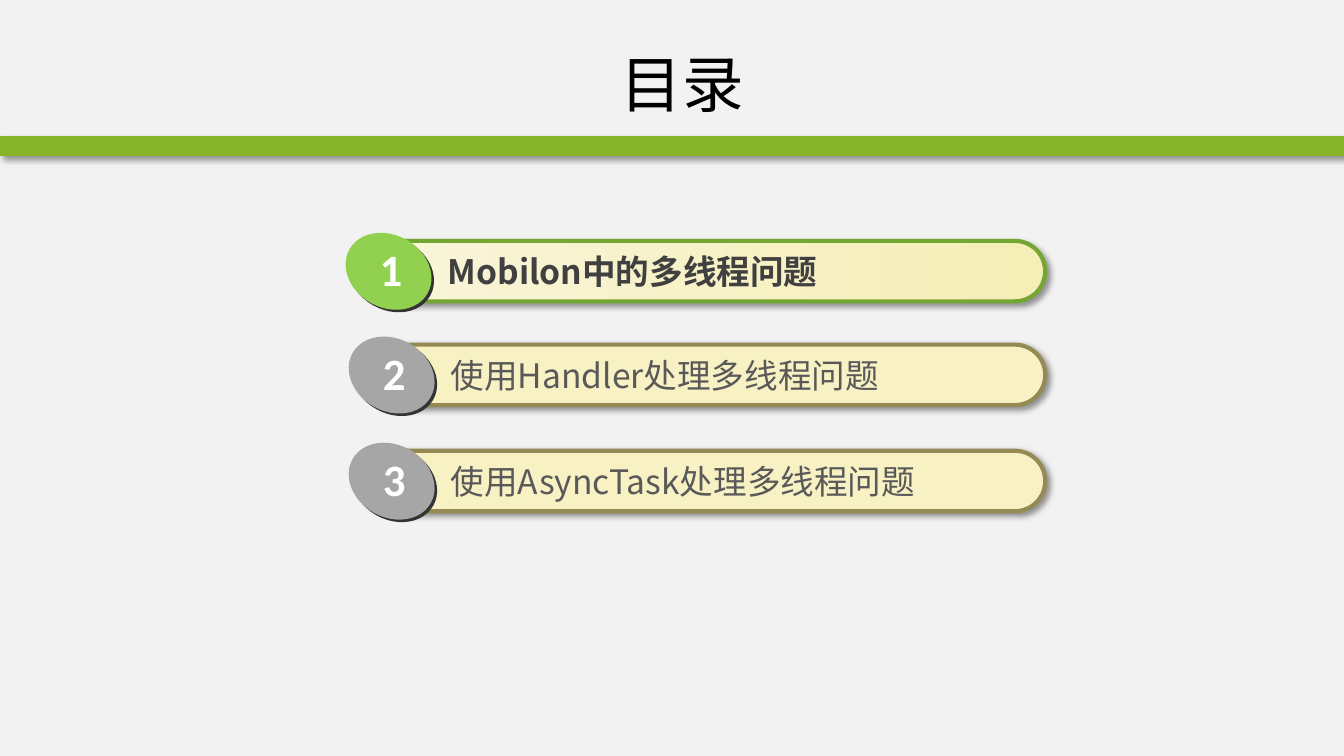
from lxml.etree import SubElement
from pptx import Presentation
from pptx.dml.color import RGBColor
from pptx.enum.shapes import MSO_SHAPE
from pptx.enum.text import MSO_ANCHOR, MSO_AUTO_SIZE, PP_ALIGN
from pptx.oxml.ns import qn
from pptx.util import Pt

CJK_FONT = "Noto Sans CJK SC"
NUMBER_FONT = "Calibri"
ENTRY_RIGHT = 746.6
TEXT_RIGHT = 699.1

ACTIVE = {"fill": ("F9F5D9", "F5EEB7"), "line": "74A731", "disc": "92D050",
          "text": "404040", "bold": True}
INACTIVE = {"fill": ("F7F1C4",), "line": "948A54", "disc": "A6A6A6",
            "text": "595959", "bold": False}

# Number, label, left of disc, top of bar, style
ENTRIES = [
    ("1", "Mobilon中的多线程问题", 245.5, 172.1, ACTIVE),
    ("2", "使用Handler处理多线程问题", 247.7, 246.2, INACTIVE),
    ("3", "使用AsyncTask处理多线程问题", 247.7, 322, INACTIVE),
]


def color(value):
    return RGBColor.from_string(value)


def add_shadow(shape):
    effects = shape._element.spPr.find(qn("a:effectLst"))
    shadow = SubElement(effects, qn("a:outerShdw"), blurRad=str(Pt(4)),
                        dist=str(Pt(3)), dir="2700000", algn="tl", rotWithShape="0")
    black = SubElement(shadow, qn("a:srgbClr"), val="000000")
    SubElement(black, qn("a:alpha"), val="40000")


def add_block(shapes, kind, left, top, width, height, fills, line=None, shadow=False):
    """Add a preset shape; two fill colours make a left-to-right gradient."""
    shape = shapes.add_shape(kind, Pt(left), Pt(top), Pt(width), Pt(height))
    shape.shadow.inherit = False
    if len(fills) == 1:
        shape.fill.solid()
        shape.fill.fore_color.rgb = color(fills[0])
    else:
        shape.fill.gradient()
        shape.fill.gradient_angle = 0
        for stop, value in zip(shape.fill.gradient_stops, fills):
            stop.color.rgb = color(value)
    if line:
        shape.line.color.rgb = color(line)
        shape.line.width = Pt(3)
    else:
        shape.line.fill.background()
    if shadow:
        add_shadow(shape)
    return shape


def write(frame, text, *, size, font, ink, bold=False, align=PP_ALIGN.LEFT):
    para = frame.paragraphs[0]
    para.alignment = align
    span = para.add_run()
    span.text = text
    span.font.size = Pt(size)
    span.font.bold = bold
    span.font.color.rgb = color(ink)
    span.font.name = font
    SubElement(span.font._element, qn("a:ea"), typeface=font)


def add_label(shapes, text, left, top, width, height, wrap=True, **style):
    box = shapes.add_textbox(Pt(left), Pt(top), Pt(width), Pt(height))
    box.text_frame.word_wrap = wrap
    box.text_frame.auto_size = MSO_AUTO_SIZE.SHAPE_TO_FIT_TEXT
    write(box.text_frame, text, **style)


def add_entry(page, number, label, left, top, style):
    shapes = page.shapes.add_group_shape().shapes

    # Bar and its label
    bar_left, text_left = left + 15.8, left + 67.2
    bar = add_block(shapes, MSO_SHAPE.ROUNDED_RECTANGLE, bar_left, top,
                    ENTRY_RIGHT - bar_left, 43.2, style["fill"], style["line"], True)
    bar.adjustments[0] = 0.5
    add_label(shapes, label, text_left, top + 3.9, TEXT_RIGHT - text_left, 36.4,
              size=24, font=CJK_FONT, ink=style["text"], bold=style["bold"])

    # Numbered disc with a dark rim behind it
    for offset, fill in ((1.8, "333333"), (0, style["disc"])):
        disc = add_block(shapes, MSO_SHAPE.OVAL, left + offset, top - 4.2 + offset,
                         64.1, 51.8, (fill,))
        disc.rotation = 29.3
    add_label(shapes, number, left + 18.7, top - 2.9, 31, 46, wrap=False,
              size=32, font=NUMBER_FONT, ink="FFFFFF", bold=True)


def add_title(page, text):
    title = page.shapes.title
    title.left, title.top, title.width, title.height = Pt(100), Pt(21.6), Pt(774.7), Pt(75.6)
    title.text_frame.vertical_anchor = MSO_ANCHOR.MIDDLE
    write(title.text_frame, text, size=44, font=CJK_FONT, ink="000000",
          align=PP_ALIGN.CENTER)


def main():
    deck = Presentation()
    deck.slide_width, deck.slide_height = Pt(960), Pt(540)
    page = deck.slides.add_slide(deck.slide_layouts[5])
    page.background.fill.solid()
    page.background.fill.fore_color.rgb = color("F2F2F2")

    # Heading and green band
    add_title(page, "目录")
    add_block(page.shapes, MSO_SHAPE.RECTANGLE, 0, 97.2, 960, 14.2, ("88B429",), shadow=True)

    # Table of contents
    for entry in ENTRIES:
        add_entry(page, *entry)
    deck.save("out.pptx")


if __name__ == "__main__":
    main()
